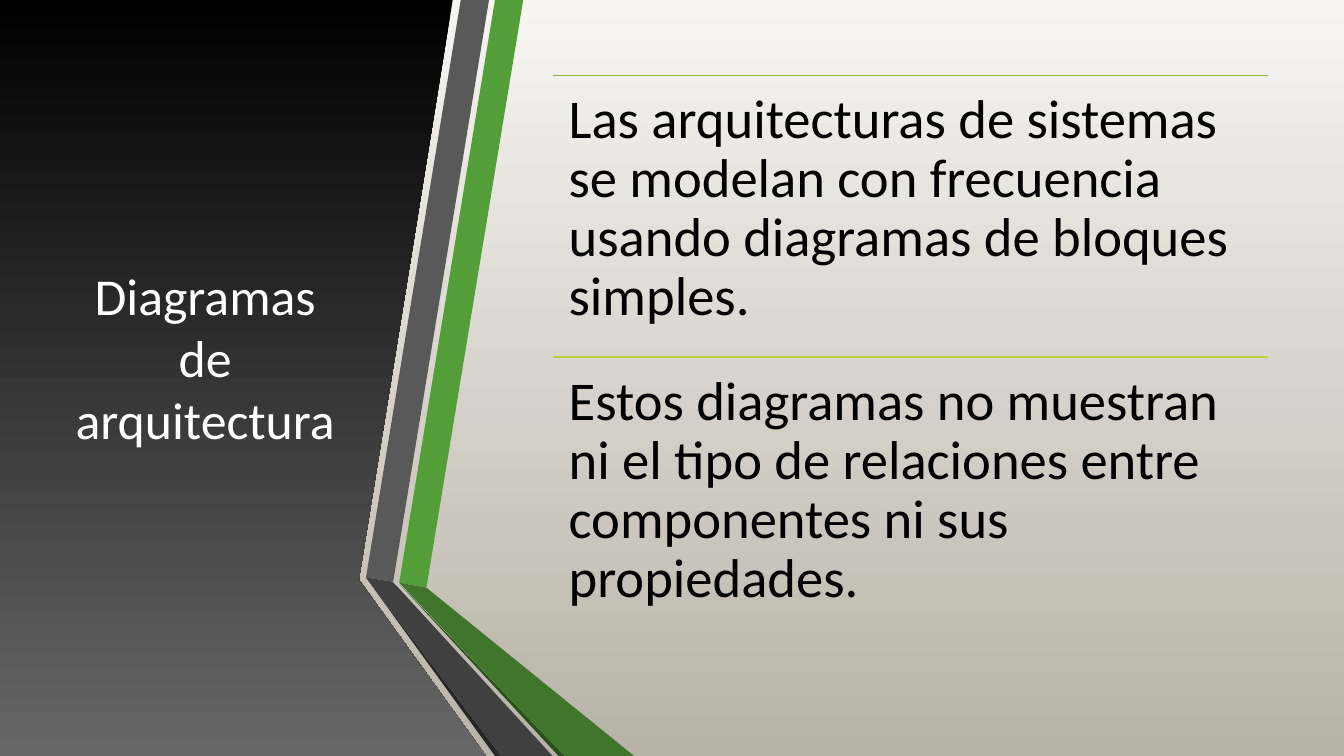
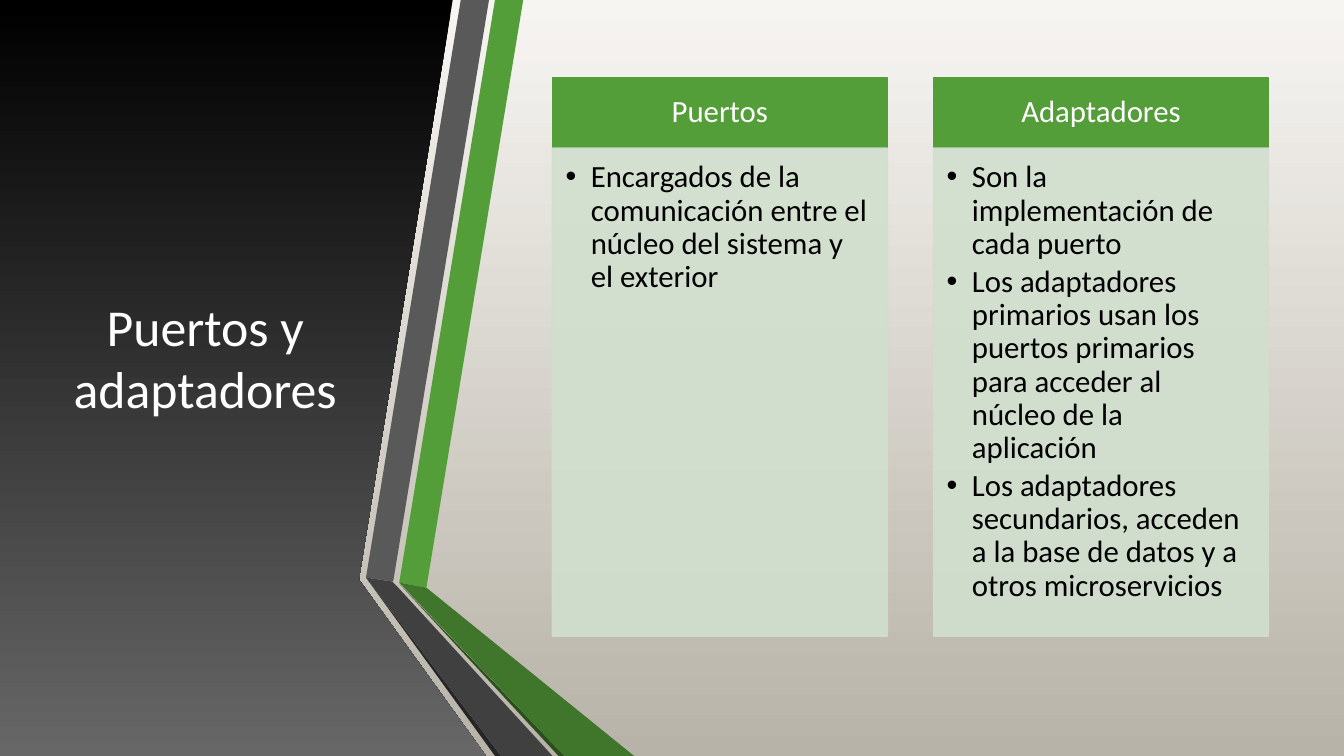
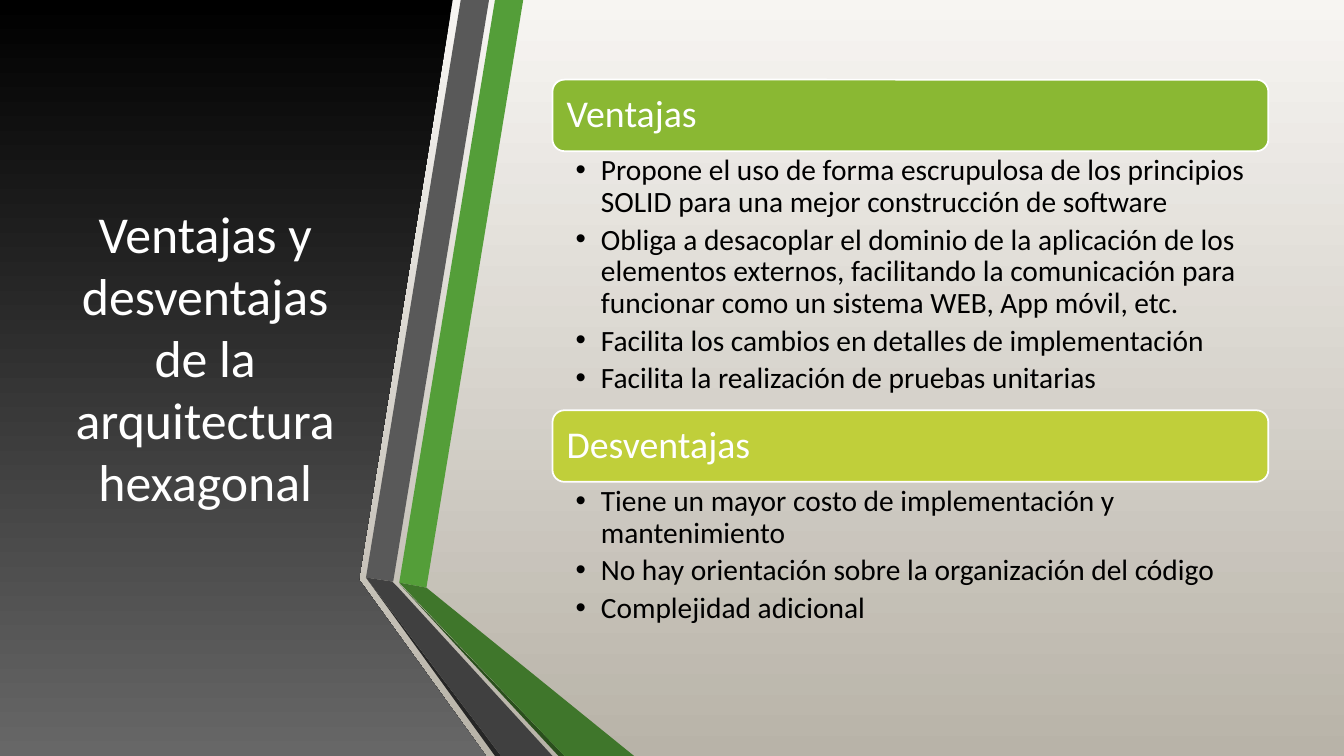
from lxml import etree
from pptx import Presentation
from pptx import util as u
from pptx.dml.color import RGBColor
from pptx.enum import shapes, text
from pptx.oxml.ns import qn

# Colours
BLACK = RGBColor(0x00, 0x00, 0x00)
WHITE = RGBColor(0xFF, 0xFF, 0xFF)
GREEN = RGBColor(0x54, 0x9E, 0x39)
LEAF = RGBColor(0x8A, 0xB8, 0x33)
LIME = RGBColor(0xC0, 0xCF, 0x3A)
MIST = RGBColor(0xD1, 0xDF, 0xCE)
FERN = RGBColor(0x3F, 0x76, 0x2B)
MOSS = RGBColor(0x2A, 0x4F, 0x1C)
GREY = RGBColor(0x59, 0x59, 0x59)
DARK = RGBColor(0x40, 0x40, 0x40)
COAL = RGBColor(0x26, 0x26, 0x26)
ASH = RGBColor(0x67, 0x67, 0x67)
CREAM = RGBColor(0xF7, 0xF5, 0xF2)
SAND = RGBColor(0xB8, 0xB3, 0xA8)

# Outlines shared by every slide
PANEL = [(0, 0), (4.49, 0), (3.56, 5.75), (4.82, 7.5), (0, 7.5)]
BANDS = [
    (GREEN, [(3.96, 5.78), (4.23, 5.83), (5.19, 0), (4.91, 0)]),
    (GREY, [(4.85, 0), (4.57, 0), (3.63, 5.73), (3.9, 5.77)]),
    (COAL, [(3.63, 5.73), (4.91, 7.5), (4.97, 7.5)]),
    (MOSS, [(3.96, 5.79), (5.54, 7.5), (5.6, 7.5)]),
    (FERN, [(3.96, 5.78), (5.6, 7.5), (6.29, 7.5), (4.23, 5.83)]),
    (DARK, [(5.48, 7.5), (3.95, 5.83), (3.89, 5.77), (3.63, 5.73),
            (4.97, 7.5)]),
]

# Content area
LEFT, TOP, WIDE, HIGH = 5.48, 0.75, 7.1, 5.58

# Text formats: size, colour, insets (left, top, right, bottom), space after
MID, HEAD = text.MSO_ANCHOR.MIDDLE, text.MSO_ANCHOR.TOP
MIDDLE, START = text.PP_ALIGN.CENTER, text.PP_ALIGN.LEFT
TITLE = dict(size=37, ink=WHITE, pad=(0.1, 0.05, 0.1, 0.05), anchor=MID,
             align=MIDDLE, pitch=1.0, after=0)
PLAIN = dict(size=39, ink=BLACK, pad=(0.16,) * 4, anchor=HEAD,
             align=START, pitch=0.9, after=13.65)
CARD = dict(size=22, ink=WHITE, pad=(0.17, 0.1, 0.17, 0.1), anchor=MID,
            align=MIDDLE, pitch=0.9, after=7.7)
ITEMS = dict(size=22, ink=BLACK, pad=(0.13, 0.13, 0.17, 0.19), anchor=HEAD,
             align=START, pitch=0.9, after=3.3, dot=True)
LABEL = dict(size=27, ink=WHITE, pad=(0.11,) * 4, anchor=MID,
             align=START, pitch=0.9, after=9.45)
NOTES = dict(size=21, ink=BLACK, pad=(0.23, 0.04, 0.21, 0.04), anchor=HEAD,
             align=START, pitch=0.9, after=4.2, dot=True)


def put(item, **vals):
    for name, val in vals.items():
        setattr(item, name, val)


def inch(vals):
    return [u.Inches(v) for v in vals]


def blend(fill, first, last):
    """Fill from the first colour at the top to the last at the bottom."""
    fill.gradient()
    fill.gradient_angle = 270
    for stop, tint, place in zip(fill.gradient_stops, (first, last), (0, 1)):
        stop.color.rgb = tint
        stop.position = place


class Deck:
    """Holds the style and the current slide."""

    font = "Calibri"
    rule = u.Pt(1.25)

    def __init__(self):
        self.prs = Presentation()
        put(self.prs, slide_width=u.Inches(13.33), slide_height=u.Inches(7.5))
        blend(self.prs.slide_master.background.fill, CREAM, SAND)

    def page(self, layout, title):
        self.slide = self.prs.slides.add_slide(self.prs.slide_layouts[layout])
        blend(self.form(PANEL).fill, BLACK, ASH)
        for tint, points in BANDS:
            fill = self.form(points).fill
            fill.solid()
            fill.fore_color.rgb = tint
        self.words(0, (0.59, TOP, 2.89, HIGH), [title], TITLE)

    def form(self, points):
        first, *rest = [inch(p) for p in points]
        pen = self.slide.shapes.build_freeform(*first)
        pen.add_line_segments(rest, close=True)
        shape = pen.convert_to_shape()
        shape.shadow.inherit = False
        shape.line.fill.background()
        return shape

    def box(self, area, tint, edge, kind="RECTANGLE", alpha=None):
        shape = self.slide.shapes.add_shape(
            shapes.MSO_SHAPE[kind], *inch(area))
        shape.shadow.inherit = False
        shape.fill.solid()
        shape.fill.fore_color.rgb = tint
        shape.line.color.rgb = edge
        shape.line.width = self.rule
        if alpha:
            for clr in list(shape.element.spPr.iter(qn("a:srgbClr"))):
                etree.SubElement(clr, qn("a:alpha"), val=str(alpha * 1000))

    def line(self, x, y, wide, tint):
        rule = self.slide.shapes.add_connector(
            shapes.MSO_CONNECTOR.STRAIGHT, *inch((x, y, x + wide, y)))
        rule.line.color.rgb = tint
        rule.line.width = self.rule
        etree.SubElement(rule.element.spPr, qn("a:effectLst"))

    def words(self, slot, area, lines, form):
        """Move a placeholder to the front and fill it with text."""
        hold = self.slide.placeholders[slot]
        hold.element.getparent().append(hold.element)
        put(hold, **dict(zip(("left", "top", "width", "height"), inch(area))))
        frame = hold.text_frame
        sides = ("margin_left", "margin_top", "margin_right", "margin_bottom")
        put(frame, text="\n".join(lines), word_wrap=True,
            auto_size=text.MSO_AUTO_SIZE.NONE,
            vertical_anchor=form["anchor"],
            **dict(zip(sides, inch(form["pad"]))))
        for par in frame.paragraphs:
            put(par, alignment=form["align"], line_spacing=form["pitch"],
                space_before=u.Pt(0), space_after=u.Pt(form["after"]))
            for run in par.runs:
                put(run.font, name=self.font, size=u.Pt(form["size"]),
                    bold=False)
                run.font.color.rgb = form["ink"]
            self.mark(par, form.get("dot", False))

    def mark(self, par, dot):
        """Set the bullet and its hanging indent, or neither."""
        props = par._p.get_or_add_pPr()
        hang = u.Inches(0.25) if dot else 0
        props.set("marL", str(hang))
        props.set("indent", str(-hang))
        if dot:
            etree.SubElement(props, qn("a:buFont"), typeface="Arial")
            etree.SubElement(props, qn("a:buChar"), char="•")
        else:
            etree.SubElement(props, qn("a:buNone"))


def blocks(deck):
    deck.page(3, "Diagramas de arquitectura")
    parts = [
        (LEAF, "Las arquitecturas de sistemas se modelan con frecuencia "
               "usando diagramas de bloques simples."),
        (LIME, "Estos diagramas no muestran ni el tipo de relaciones entre "
               "componentes ni sus propiedades."),
    ]
    high = HIGH / len(parts)
    for n, (tint, words) in enumerate(parts):
        y = TOP + n * high
        deck.line(LEFT, y, WIDE, tint)
        deck.words(n + 1, (LEFT, y, WIDE, high), [words], PLAIN)


def ports(deck):
    deck.page(4, "Puertos y adaptadores")
    cards = [
        ("Puertos", ["Encargados de la comunicación entre el núcleo del "
                     "sistema y el exterior"]),
        ("Adaptadores", [
            "Son la implementación de cada puerto",
            "Los adaptadores primarios usan los puertos primarios para "
            "acceder al núcleo de la aplicación",
            "Los adaptadores secundarios, acceden a la base de datos y a "
            "otros microservicios"]),
    ]
    wide, top, head, high = 3.32, 0.77, 0.7, 4.84
    for n, (name, items) in enumerate(cards):
        x = LEFT + n * (WIDE - wide)
        cap = (x, top, wide, head)
        body = (x, top + head, wide, high)
        deck.box(cap, GREEN, GREEN)
        deck.words(2 * n + 1, cap, [name], CARD)
        deck.box(body, MIST, MIST, alpha=90)
        deck.words(2 * n + 2, body, items, ITEMS)


def sides(deck):
    deck.page(4, "Ventajas y desventajas de la arquitectura hexagonal")
    parts = [
        ("Ventajas", LEAF, 2.57, [
            "Propone el uso de forma escrupulosa de los principios SOLID "
            "para una mejor construcción de software",
            "Obliga a desacoplar el dominio de la aplicación de los "
            "elementos externos, facilitando la comunicación para funcionar "
            "como un sistema WEB, App móvil, etc.",
            "Facilita los cambios en detalles de implementación",
            "Facilita la realización de pruebas unitarias"]),
        ("Desventajas", LIME, 1.53, [
            "Tiene un mayor costo de implementación y mantenimiento",
            "No hay orientación sobre la organización del código",
            "Complejidad adicional"]),
    ]
    y, head, gap = 0.79, 0.71, 0.03
    for n, (name, tint, high, items) in enumerate(parts):
        deck.box((LEFT, y, WIDE, head), tint, WHITE, "ROUNDED_RECTANGLE")
        deck.words(2 * n + 1, (LEFT + gap, y + gap, WIDE - 2 * gap,
                               head - 2 * gap), [name], LABEL)
        deck.words(2 * n + 2, (LEFT, y + head, WIDE, high), items, NOTES)
        y += head + high


def main():
    deck = Deck()
    for build in (blocks, ports, sides):
        build(deck)
    deck.prs.save("out.pptx")


if __name__ == "__main__":
    main()
